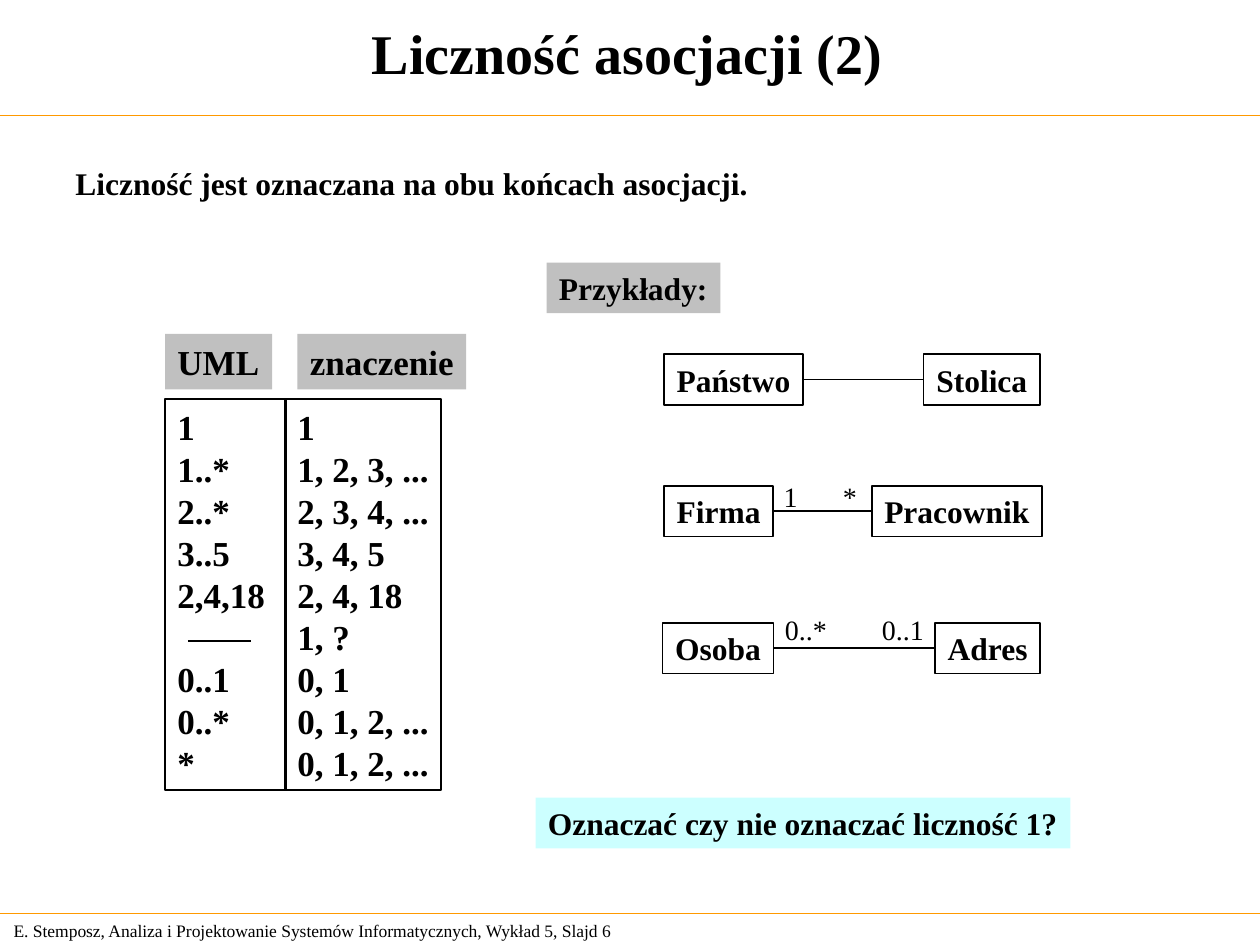
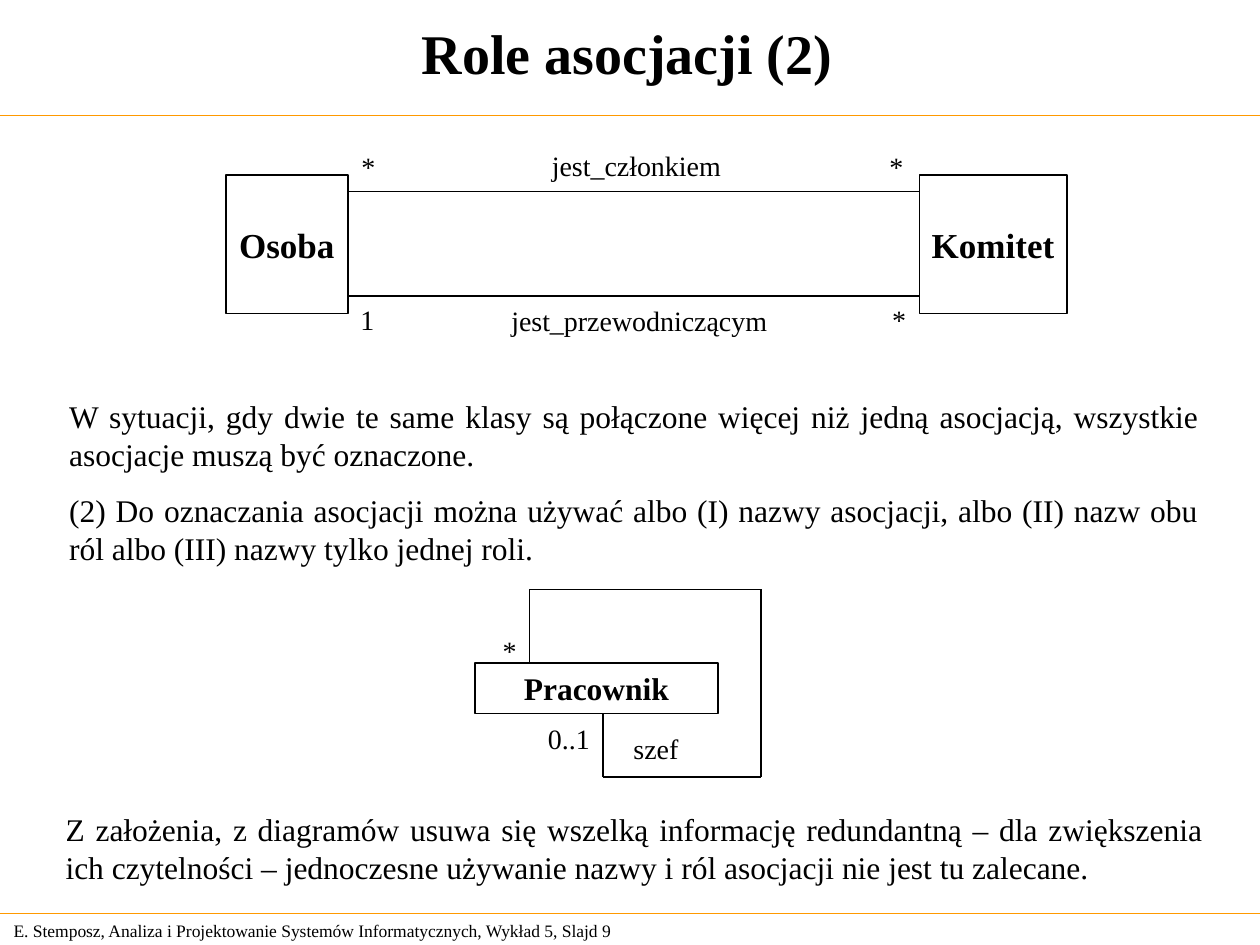
"""Builds two lecture slides on UML association multiplicity and roles."""
from dataclasses import dataclass
from itertools import pairwise

from lxml.etree import SubElement
from pptx import Presentation
from pptx.dml.color import RGBColor
from pptx.enum.shapes import MSO_CONNECTOR, MSO_SHAPE
from pptx.enum.text import MSO_ANCHOR, MSO_AUTO_SIZE, PP_ALIGN
from pptx.oxml.ns import qn
from pptx.util import Pt


@dataclass(frozen=True)
class Theme:
    font: str = "Times New Roman"
    ink: str = "000000"
    rule: str = "FF9900"
    heading_fill: str = "C0C0C0"
    question_fill: str = "CCFFFF"
    title: int = 32
    large: int = 20
    body: int = 18
    label: int = 16
    footer: int = 10
    leading: float = 1.2
    thin: float = 0.75
    line: float = 1
    dash: float = 1.5


THEME = Theme()
WIDTH, HEIGHT = 720, 540
RULE_HEIGHTS = (66.2, 522)
FOOTER = "E. Stemposz, Analiza i Projektowanie Systemów Informatycznych, Wykład 5, Slajd {}"
LABEL_HEIGHT = 26.6
CLASS_HEIGHT = 29

MULTIPLICITY = {
    "title": "Liczność asocjacji (2)",
    "number": 6,
    "statement": ("Liczność jest oznaczana na obu końcach asocjacji.", (36, 90, 403, 29)),
    "headings": [
        ("Przykłady:", (312.3, 150, 99.4, 29), THEME.body),
        ("UML", (94.3, 190.8, 61.2, 31.7), THEME.large),
        ("znaczenie", (170, 190.8, 96.5, 31.7), THEME.large),
    ],
    "columns": [
        (["1", "1, 2, 3, ...", "2, 3, 4, ...", "3, 4, 5", "2, 4, 18", "1, ?", "0, 1",
          "0, 1, 2, ...", "0, 1, 2, ..."], (162.9, 228.2, 89.3, 223.2)),
        (["1", "1..*", "2..*", "3..5", "2,4,18", None, "0..1", "0..*", "*"],
         (94.3, 228.2, 69, 223.2)),
    ],
    "unmarked": ((107.3, 366.2), (143.3, 366.2)),
    "examples": [
        (202.3, ("Państwo", 379.6, 79.2), ("Stolica", 527.8, 66.5)),
        (277.6, ("Firma", 379.6, 62.2), ("Pracownik", 498.2, 97.2)),
        (355.9, ("Osoba", 378.6, 63.4), ("Adres", 534.2, 60.3)),
    ],
    "labels": [
        ("1", 440.6, 270.7, 22.3), ("*", 474.5, 270.7, 22.3),
        ("0..*", 441.4, 346.3, 38.2), ("0..1", 496.8, 346.3, 38.2),
    ],
    "question": ("Oznaczać czy nie oznaczać liczność 1?", (306, 455.8, 305.6, 29)),
}

ROLES = {
    "title": "Role asocjacji (2)",
    "number": 9,
    "classes": [
        ("Osoba", (129, 100, 69.8, 79.2), THEME.large),
        ("Komitet", (525.4, 100, 84.2, 79.2), THEME.large),
        ("Pracownik", (271.4, 378.7, 139, CLASS_HEIGHT), THEME.body),
    ],
    "associations": [
        [(199, 109.4), (525.2, 109.4)],
        [(199, 169.2), (525.2, 169.2)],
        [(302.6, 378.7), (302.6, 336.8), (434.7, 336.8),
         (434.7, 444.1), (344.7, 444.1), (344.7, 408)],
    ],
    "labels": [
        ("jest_członkiem", 308.2, 81.6, 110.9), ("*", 199.4, 81.9, 22.3),
        ("*", 501, 81.9, 22.3), ("jest_przewodniczącym", 285, 170, 160.6),
        ("1", 198.7, 169.4, 22.3), ("*", 502.6, 169.4, 22.3),
        ("szef", 355, 414.7, 39.6), ("*", 280, 358.6, 22.3), ("0..1", 306, 409, 38.2),
    ],
    "notes": [
        ("W sytuacji, gdy dwie te same klasy są połączone więcej niż jedną asocjacją, "
         "wszystkie asocjacje muszą być oznaczone.", (32.4, 223.2, 660, 50.4)),
        ("(2) Do oznaczania asocjacji można używać albo (I) nazwy asocjacji, albo (II) "
         "nazw obu ról albo (III) nazwy tylko jednej roli.", (32.4, 277.2, 660, 50.4)),
        ("Z założenia, z diagramów usuwa się wszelką informację redundantną – dla "
         "zwiększenia ich czytelności – jednoczesne używanie nazwy i ról asocjacji "
         "nie jest tu zalecane.", (30.4, 459.4, 664.6, 50.4)),
    ],
}


def color(value):
    return RGBColor.from_string(value)


def write(holder, lines, size, bold=False, align=PP_ALIGN.LEFT,
          anchor=MSO_ANCHOR.TOP, wrap=False):
    frame = holder.text_frame
    frame.word_wrap = wrap
    frame.auto_size = MSO_AUTO_SIZE.NONE
    frame.vertical_anchor = anchor
    leading = size * THEME.leading
    gap = 0
    for index, line in enumerate(lines):
        if line is None:
            gap += leading
            continue
        paragraph = frame.add_paragraph() if index else frame.paragraphs[0]
        paragraph.alignment = align
        paragraph.line_spacing = Pt(leading)
        if gap:
            paragraph.space_before = Pt(gap)
            gap = 0
        run = paragraph.add_run()
        run.text = line
        run.font.name = THEME.font
        run.font.size = Pt(size)
        run.font.bold = bold
        run.font.color.rgb = color(THEME.ink)


def add_text(slide, text, box, size, **style):
    write(slide.shapes.add_textbox(*map(Pt, box)), [text], size, **style)


def add_block(slide, lines, box, size, fill=None, **style):
    block = slide.shapes.add_shape(MSO_SHAPE.RECTANGLE, *map(Pt, box))
    block.shadow.inherit = False
    if fill:
        block.fill.solid()
        block.fill.fore_color.rgb = color(fill)
        block.line.fill.background()
    else:
        block.fill.background()
        block.line.color.rgb = color(THEME.ink)
        block.line.width = Pt(THEME.line)
    write(block, lines, size, bold=True, **style)
    return block


def add_class(slide, name, box, size):
    return add_block(slide, [name], box, size, align=PP_ALIGN.CENTER, anchor=MSO_ANCHOR.MIDDLE)


def add_line(slide, start, end, ink=THEME.ink, width=THEME.line):
    line = slide.shapes.add_connector(MSO_CONNECTOR.STRAIGHT, *map(Pt, (*start, *end)))
    line.line.color.rgb = color(ink)
    line.line.width = Pt(width)
    SubElement(line.element.spPr, qn("a:effectLst"))
    return line


def add_labels(slide, labels):
    for text, left, top, width in labels:
        add_text(slide, text, (left, top, width, LABEL_HEIGHT), THEME.label,
                 align=PP_ALIGN.CENTER)


def start_slide(deck, content):
    slide = deck.slides.add_slide(deck.slide_layouts[5])
    title = slide.shapes.title
    title.left, title.top, title.width, title.height = map(Pt, (0, -0.7, 717, 61.2))
    write(title, [content["title"]], THEME.title, bold=True, align=PP_ALIGN.CENTER,
          anchor=MSO_ANCHOR.MIDDLE, wrap=True)
    for height in RULE_HEIGHTS:
        add_line(slide, (0, height), (WIDTH, height), THEME.rule, THEME.thin)
    add_text(slide, FOOTER.format(content["number"]), (0.7, 522, 377.3, 19.4),
             THEME.footer, anchor=MSO_ANCHOR.MIDDLE, wrap=True)
    return slide


def build_multiplicity(deck, content):
    slide = start_slide(deck, content)
    add_text(slide, *content["statement"], THEME.body, bold=True)
    for heading, box, size in content["headings"]:
        add_block(slide, [heading], box, size, THEME.heading_fill)
    for entries, box in content["columns"]:
        add_block(slide, entries, box, THEME.large)
    add_line(slide, *content["unmarked"], width=THEME.dash)
    for top, *pair in content["examples"]:
        source, target = [add_class(slide, name, (left, top, width, CLASS_HEIGHT), THEME.body)
                          for name, left, width in pair]
        association = add_line(slide, (0, 0), (0, 0))
        association.begin_connect(source, 3)
        association.end_connect(target, 1)
    add_labels(slide, content["labels"])
    question, box = content["question"]
    add_block(slide, [question], box, THEME.body, THEME.question_fill)


def build_roles(deck, content):
    slide = start_slide(deck, content)
    for name, box, size in content["classes"]:
        add_class(slide, name, box, size)
    for corners in content["associations"]:
        for start, end in pairwise(corners):
            add_line(slide, start, end)
    add_labels(slide, content["labels"])
    for note, box in content["notes"]:
        add_text(slide, note, box, THEME.body, align=PP_ALIGN.JUSTIFY, wrap=True)


def main():
    deck = Presentation()
    deck.slide_width, deck.slide_height = Pt(WIDTH), Pt(HEIGHT)
    build_multiplicity(deck, MULTIPLICITY)
    build_roles(deck, ROLES)
    deck.save("out.pptx")


if __name__ == "__main__":
    main()
